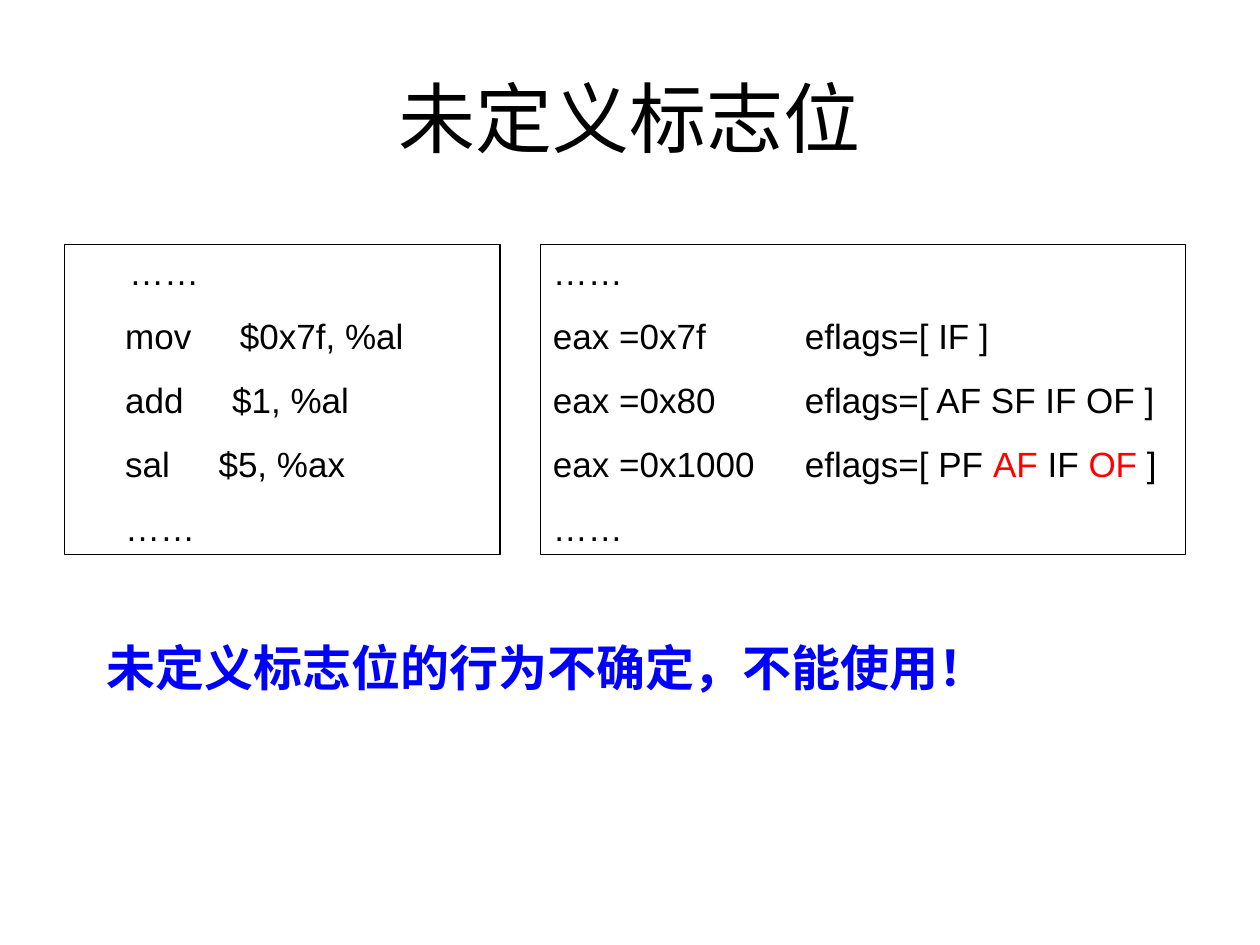
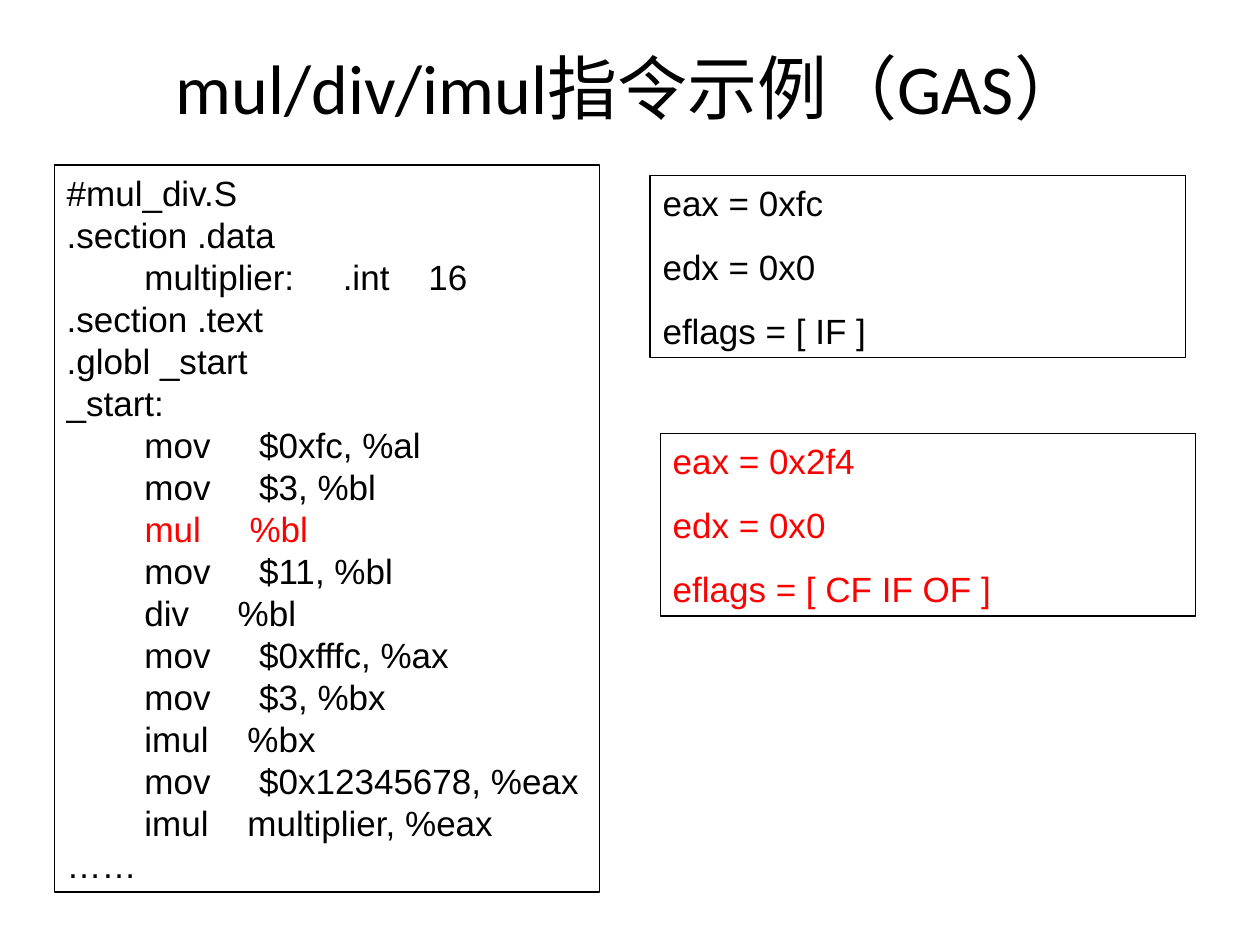
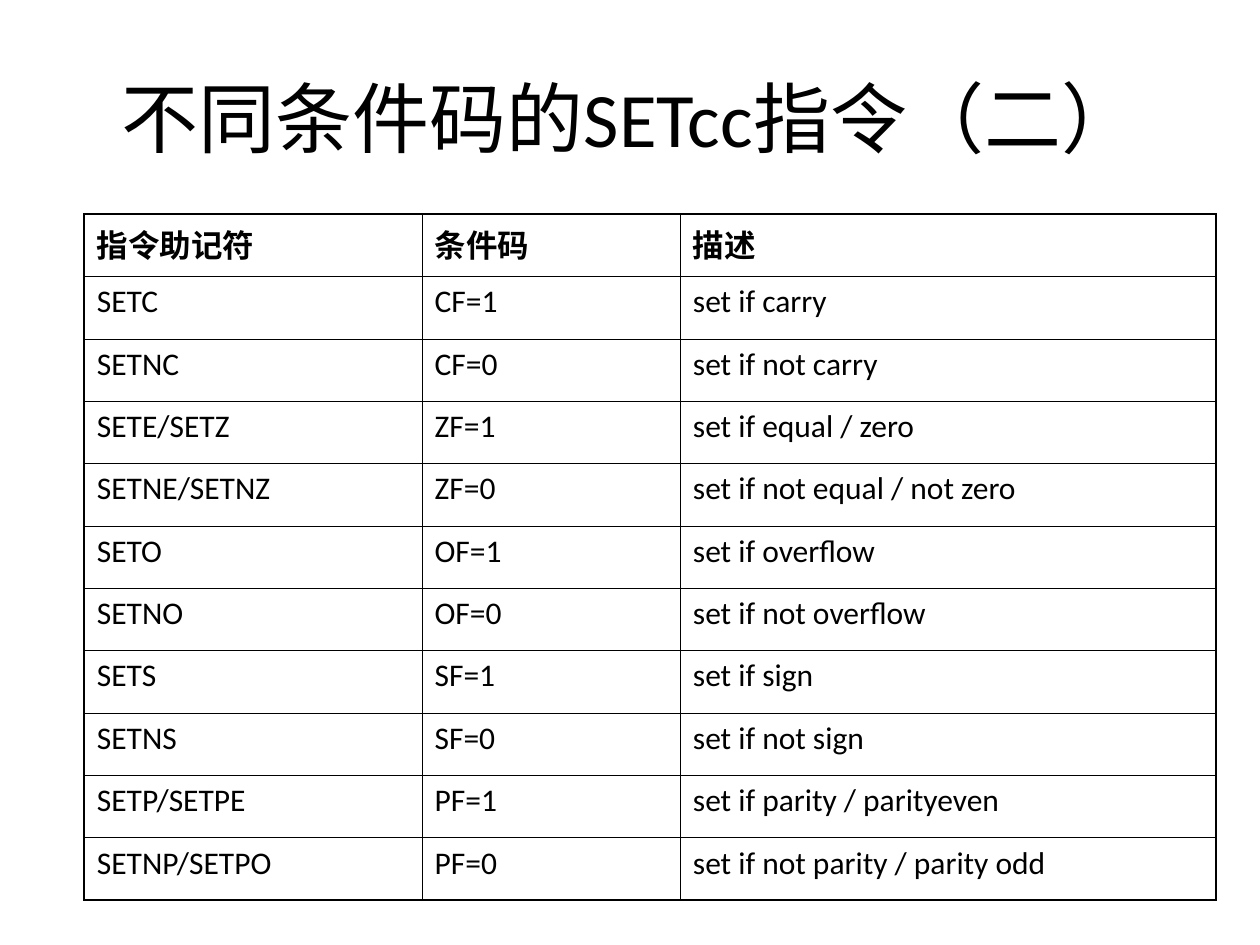
from dataclasses import dataclass

from lxml import etree
from pptx import Presentation
from pptx.dml.color import RGBColor
from pptx.enum import shapes, text
from pptx.oxml import ns
from pptx.util import Pt


@dataclass(frozen=True)
class Theme:
    ink: str = "000000"
    red: str = "FF0000"
    blue: str = "0000FF"
    head: str = "Calibri"
    body: str = "Arial"
    title: int = 44
    small: int = 40
    note: int = 28
    code: int = 20
    cell: int = 18
    gap: float = 12.5
    line: float = 0.75
    inner: float = 0.45
    outer: float = 1.08


T = Theme()
RED = {"color": T.red}


# Text
def put(par, words, **look):
    run = par.add_run()
    run.text = words
    run.font.color.rgb = RGBColor.from_string(look.pop("color", T.ink))
    for key, val in look.items():
        setattr(run.font, key, val)


def fill(frame, rows, gap=0, tab=0, **look):
    """Each row is a string or a list of (words, format) runs."""
    frame.word_wrap = True
    for i, row in enumerate(rows):
        par = frame.paragraphs[0] if i == 0 else frame.add_paragraph()
        par.alignment = text.PP_ALIGN.LEFT
        if gap and i:
            par.space_before = Pt(gap)
        if tab:
            stops = etree.SubElement(par._p.get_or_add_pPr(), ns.qn("a:tabLst"))
            etree.SubElement(stops, ns.qn("a:tab"), pos=str(Pt(tab)), algn="l")
        for words, own in [(row, {})] if isinstance(row, str) else row:
            put(par, words, **{**look, **own})


def label(slide, area, words, **look):
    frame = slide.shapes.add_textbox(*map(Pt, area)).text_frame
    fill(frame, [words], **look)
    return frame


def title(slide, words, high=90, size=T.title):
    frame = label(slide, (36, 21.6, 648, high), words, name=T.head, size=Pt(size))
    frame.vertical_anchor = text.MSO_ANCHOR.MIDDLE
    frame.paragraphs[0].alignment = text.PP_ALIGN.CENTER


# Framed listing
def panel(slide, area, rows, **look):
    box = slide.shapes.add_shape(shapes.MSO_SHAPE.RECTANGLE, *map(Pt, area))
    box.shadow.inherit = False
    box.fill.background()
    box.line.color.rgb = RGBColor.from_string(T.ink)
    box.line.width = Pt(T.line)
    box.text_frame.vertical_anchor = text.MSO_ANCHOR.TOP
    fill(box.text_frame, rows, name=T.body, size=Pt(T.code), **look)


# Ruled table
def edge(cell, side, width):
    line = etree.SubElement(cell._tc.get_or_add_tcPr(), ns.qn("a:ln" + side), w=str(Pt(width)))
    paint = etree.SubElement(line, ns.qn("a:solidFill"))
    etree.SubElement(paint, ns.qn("a:srgbClr"), val=T.ink)


def grid(slide, left, top, cols, high, rows):
    last, end = len(rows) - 1, len(cols) - 1
    table = slide.shapes.add_table(len(rows), len(cols), Pt(left), Pt(top),
                                   Pt(sum(cols)), Pt(high * len(rows))).table
    table.first_row = table.horz_banding = False
    for col, wide in zip(table.columns, cols):
        col.width = Pt(wide)
    for r, row in enumerate(rows):
        table.rows[r].height = Pt(high)
        for c, words in enumerate(row):
            cell = table.cell(r, c)
            fill(cell.text_frame, [words], name=T.head, size=Pt(T.cell), bold=r == 0)
            rim = {"L": c == 0, "R": c == end, "T": r == 0, "B": r == last}
            for side, out in rim.items():
                edge(cell, side, T.outer if out else T.inner)
            cell.fill.background()


# Slides
def flags(slide):
    title(slide, "未定义标志位")
    panel(slide, (36.7, 139.7, 249.1, 177.1), [
        [("      ", {"size": Pt(T.cell)}), ("……", {})],
        "     mov     $0x7f, %al",
        "     add     $1, %al",
        "     sal     $5, %ax",
        "     ……",
    ], gap=T.gap)
    panel(slide, (308.9, 139.7, 368.6, 177.1), [
        "……",
        "eax =0x7f\teflags=[ IF ]",
        "eax =0x80\teflags=[ AF SF IF OF ]",
        [("eax =0x1000\teflags=[ PF ", {}), ("AF", RED), (" IF ", {}), ("OF", RED), (" ]", {})],
        "……",
    ], gap=T.gap, tab=144)
    label(slide, (54, 360.7, 521.3, 41), "未定义标志位的行为不确定，不能使用！",
          name=T.body, size=Pt(T.note), bold=True, color=T.blue)


def math(slide):
    title(slide, "mul/div/imul指令示例（GAS）", 55.4, T.small)
    pad = " " * 8
    panel(slide, (31, 94.3, 311.8, 415.4), [
        "#mul_div.S",
        ".section .data",
        pad + "multiplier:     .int    16",
        ".section .text",
        ".globl _start",
        "_start:",
        pad + "mov     $0xfc, %al",
        pad + "mov     $3, %bl",
        [(pad, {}), ("mul     %bl", RED)],
        pad + "mov     $11, %bl",
        pad + "div     %bl",
        pad + "mov     $0xfffc, %ax",
        pad + "mov     $3, %bx",
        pad + "imul    %bx",
        pad + "mov     $0x12345678, %eax",
        pad + "imul    multiplier, %eax",
        "……",
    ])
    panel(slide, (371.5, 100.1, 306, 104.4),
          ["eax = 0xfc", "edx = 0x0", "eflags = [ IF ]"], gap=T.gap)
    panel(slide, (377.3, 247.7, 306, 104.4),
          ["eax = 0x2f4", "edx = 0x0", "eflags = [ CF IF OF ]"], gap=T.gap, color=T.red)


def codes(slide):
    title(slide, "不同条件码的SETcc指令（二）")
    grid(slide, 48.2, 122.4, (193, 147.6, 306), 35.64, [
        ("指令助记符", "条件码", "描述"),
        ("SETC", "CF=1", "set if carry"),
        ("SETNC", "CF=0", "set if not carry"),
        ("SETE/SETZ", "ZF=1", "set if equal / zero"),
        ("SETNE/SETNZ", "ZF=0", "set if not equal / not zero"),
        ("SETO", "OF=1", "set if overflow"),
        ("SETNO", "OF=0", "set if not overflow"),
        ("SETS", "SF=1", "set if sign"),
        ("SETNS", "SF=0", "set if not sign"),
        ("SETP/SETPE", "PF=1", "set if parity / parityeven"),
        ("SETNP/SETPO", "PF=0", "set if not parity / parity odd"),
    ])


def main():
    deck = Presentation()
    deck.slide_width, deck.slide_height = Pt(720), Pt(540)
    for build in (flags, math, codes):
        build(deck.slides.add_slide(deck.slide_layouts[6]))
    deck.save("out.pptx")


if __name__ == "__main__":
    main()
